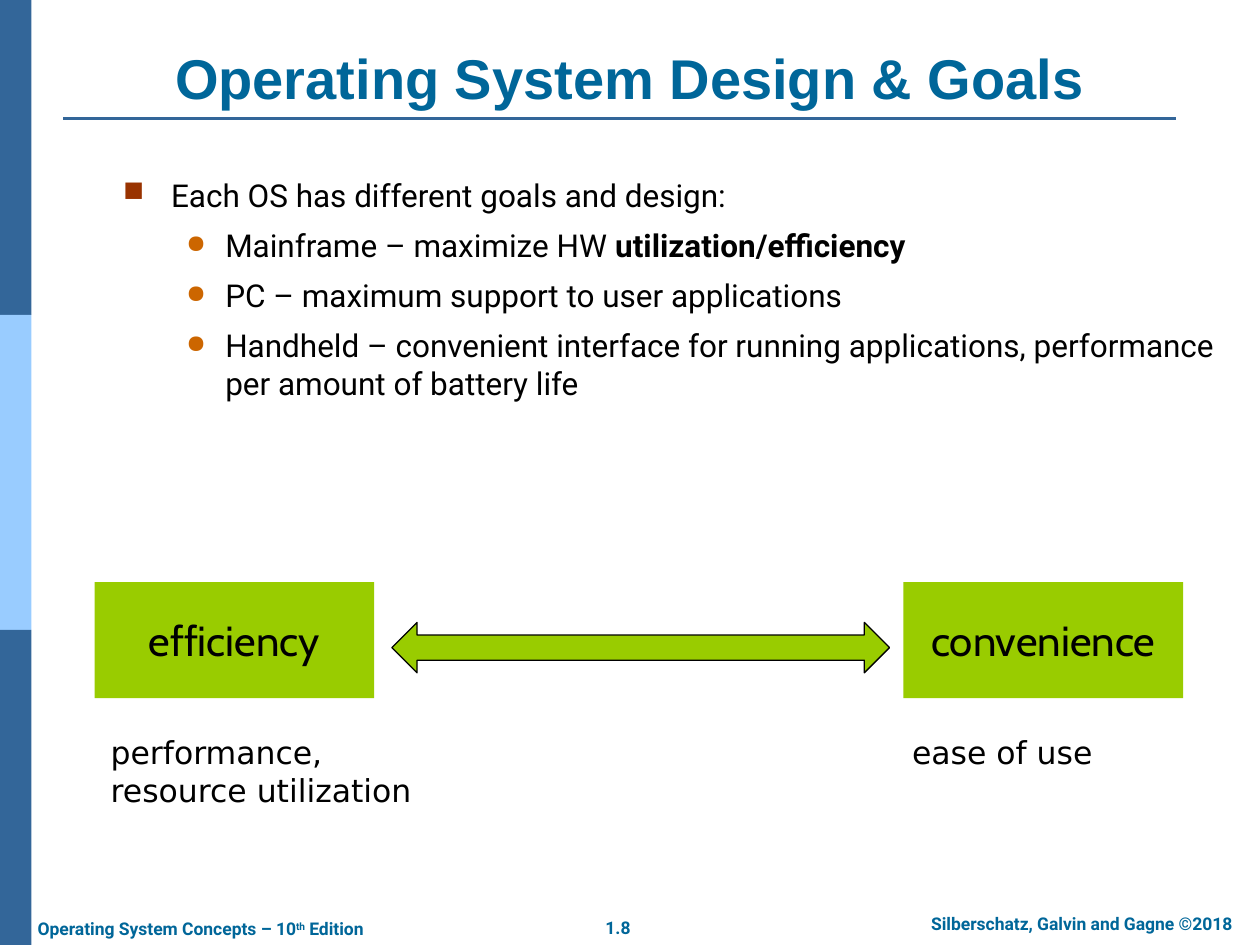
from dataclasses import dataclass

from lxml import etree
from pptx import Presentation
from pptx.dml.color import RGBColor
from pptx.enum.shapes import MSO_CONNECTOR, MSO_SHAPE
from pptx.enum.text import MSO_ANCHOR, MSO_AUTO_SIZE, PP_ALIGN
from pptx.oxml.ns import qn
from pptx.shapes.autoshape import Shape
from pptx.slide import Slide
from pptx.text.text import _Paragraph
from pptx.util import Inches, Pt

RECTANGLE = MSO_SHAPE.RECTANGLE
DOUBLE_ARROW = MSO_SHAPE.LEFT_RIGHT_ARROW
STRAIGHT = MSO_CONNECTOR.STRAIGHT
LEFT, CENTER = PP_ALIGN.LEFT, PP_ALIGN.CENTER
MIDDLE, BOTTOM = MSO_ANCHOR.MIDDLE, MSO_ANCHOR.BOTTOM
NO_AUTOFIT = MSO_AUTO_SIZE.NONE

STEEL = RGBColor(0x33, 0x66, 0x99)
SKY = RGBColor(0x99, 0xCC, 0xFF)
TEAL = RGBColor(0x00, 0x66, 0x99)
LIME = RGBColor(0x99, 0xCC, 0x00)
BLACK = RGBColor(0, 0, 0)
WHITE = RGBColor(0xFF, 0xFF, 0xFF)


@dataclass(frozen=True)
class Box:
    left: float
    top: float
    width: float
    height: float

    def lengths(self) -> tuple[Inches, Inches, Inches, Inches]:
        return Inches(self.left), Inches(self.top), Inches(self.width), Inches(self.height)


@dataclass(frozen=True)
class Style:
    font: str
    size: float
    color: RGBColor
    bold: bool = False
    align: PP_ALIGN = LEFT


@dataclass(frozen=True)
class Bullet:
    symbol: str
    color: str
    percent: int
    margin: float
    indent: float


@dataclass(frozen=True)
class Point:
    bullet: Bullet
    text: str
    bold_text: str = ""


@dataclass(frozen=True)
class Goal:
    name: str
    box: Box
    details: list[str]
    details_box: Box


TITLE = Style("Arial", 32, TEAL, True, CENTER)
BODY = Style("Roboto", 18, BLACK)
FOOTER = Style("Roboto", 10, TEAL, True)
FOOTER_CENTERED = Style("Roboto", 10, TEAL, True, CENTER)
GOAL = Style("Cabin", 24, BLACK, align=CENTER)
DETAIL = Style("DejaVu Sans", 18, BLACK)

SQUARE = Bullet("■", "993300", 90, 0.38, 0.38)
DOT = Bullet("●", "CC6600", 80, 0.81, 0.31)

POINTS = [
    Point(SQUARE, "Each OS has different goals and design:"),
    Point(DOT, "Mainframe – maximize HW ", "utilization/efficiency"),
    Point(DOT, "PC – maximum support to user applications"),
    Point(DOT, "Handheld – convenient interface for running applications, "
               "performance per amount of battery life"),
]
GOALS = [
    Goal("efficiency", Box(0.75, 4.62, 2.22, 0.92),
         ["performance,", "resource utilization"], Box(0.78, 5.77, 2.71, 0.71)),
    Goal("convenience", Box(7.17, 4.62, 2.22, 0.92),
         ["ease of use"], Box(7.14, 5.77, 1.65, 0.4)),
]


def style_paragraph(paragraph: _Paragraph, style: Style) -> None:
    paragraph.alignment = style.align
    paragraph.font.name = style.font
    paragraph.font.size = Pt(style.size)
    paragraph.font.bold = style.bold
    paragraph.font.color.rgb = style.color


def add_text(slide: Slide, box: Box, lines: list[str], style: Style) -> Shape:
    shape = slide.shapes.add_textbox(*box.lengths())
    frame = shape.text_frame
    frame.word_wrap = True
    frame.text = "\n".join(lines)
    for paragraph in frame.paragraphs:
        style_paragraph(paragraph, style)
    return shape


def add_block(slide: Slide, kind: MSO_SHAPE, box: Box, color: RGBColor) -> Shape:
    shape = slide.shapes.add_shape(kind, *box.lengths())
    shape.shadow.inherit = False
    shape.fill.solid()
    shape.fill.fore_color.rgb = color
    shape.line.fill.background()
    return shape


def set_bullet(paragraph: _Paragraph, bullet: Bullet) -> None:
    properties = paragraph._p.get_or_add_pPr()
    properties.set("marL", str(Inches(bullet.margin)))
    properties.set("indent", str(-Inches(bullet.indent)))
    color = etree.SubElement(properties, qn("a:buClr"))
    etree.SubElement(color, qn("a:srgbClr"), val=bullet.color)
    etree.SubElement(properties, qn("a:buSzPct"), val=str(bullet.percent * 1000))
    etree.SubElement(properties, qn("a:buChar"), char=bullet.symbol)


def add_points(slide: Slide, box: Box, points: list[Point]) -> None:
    frame = add_text(slide, box, [point.text for point in points], BODY).text_frame
    for index, (paragraph, point) in enumerate(zip(frame.paragraphs, points)):
        if index:
            paragraph.space_before = Pt(7)
        paragraph.level = int(point.bullet is DOT)
        set_bullet(paragraph, point.bullet)
        if point.bold_text:
            run = paragraph.add_run()
            run.text = point.bold_text
            run.font.bold = True


def add_rule(slide: Slide) -> None:
    rule = slide.shapes.add_connector(
        STRAIGHT, Inches(0.5), Inches(0.94), Inches(9.33), Inches(0.94))
    rule.line.color.rgb = STEEL
    rule.line.width = Pt(1.5)
    etree.SubElement(rule._element.spPr, qn("a:effectLst"))


def add_footer(slide: Slide) -> None:
    add_text(slide, Box(4.66, 7.23, 0.49, 0.27), ["1.8"], FOOTER_CENTERED)
    add_text(slide, Box(7.1, 7.2, 2.97, 0.27),
             ["Silberschatz, Galvin and Gagne ©2018"], FOOTER_CENTERED)
    edition = add_text(slide, Box(0.2, 7.24, 2.99, 0.27),
                       ["Operating System Concepts – 10"], FOOTER)
    paragraph = edition.text_frame.paragraphs[0]
    ordinal = paragraph.add_run()
    ordinal.text = "th"
    ordinal.font._element.set("baseline", "30000")
    paragraph.add_run().text = " Edition"


def set_title(slide: Slide, text: str) -> None:
    title = slide.shapes.title
    title.left, title.top, title.width, title.height = Box(0.5, 0.3, 9, 0.63).lengths()
    frame = title.text_frame
    frame.text = text
    frame.auto_size = NO_AUTOFIT
    frame.vertical_anchor = BOTTOM
    style_paragraph(frame.paragraphs[0], TITLE)


def add_goal(slide: Slide, goal: Goal) -> None:
    frame = add_block(slide, RECTANGLE, goal.box, LIME).text_frame
    frame.text = goal.name
    frame.vertical_anchor = MIDDLE
    style_paragraph(frame.paragraphs[0], GOAL)
    add_text(slide, goal.details_box, goal.details, DETAIL)


def main() -> None:
    presentation = Presentation()
    presentation.slide_width, presentation.slide_height = Inches(10), Inches(7.5)
    slide = presentation.slides.add_slide(presentation.slide_layouts[5])
    slide.background.fill.solid()
    slide.background.fill.fore_color.rgb = WHITE

    for index, color in enumerate([STEEL, SKY, STEEL]):
        add_block(slide, RECTANGLE, Box(0, index * 2.5, 0.25, 2.5), color)
    add_rule(slide)
    add_footer(slide)
    set_title(slide, "Operating System Design & Goals")
    add_points(slide, Box(0.88, 1.35, 9, 4.95), POINTS)
    for goal in GOALS:
        add_goal(slide, goal)
    arrow = add_block(slide, DOUBLE_ARROW, Box(3.11, 4.94, 3.95, 0.4), LIME)
    arrow.line.color.rgb = BLACK
    arrow.line.width = Pt(0.75)
    presentation.save("out.pptx")


if __name__ == "__main__":
    main()
